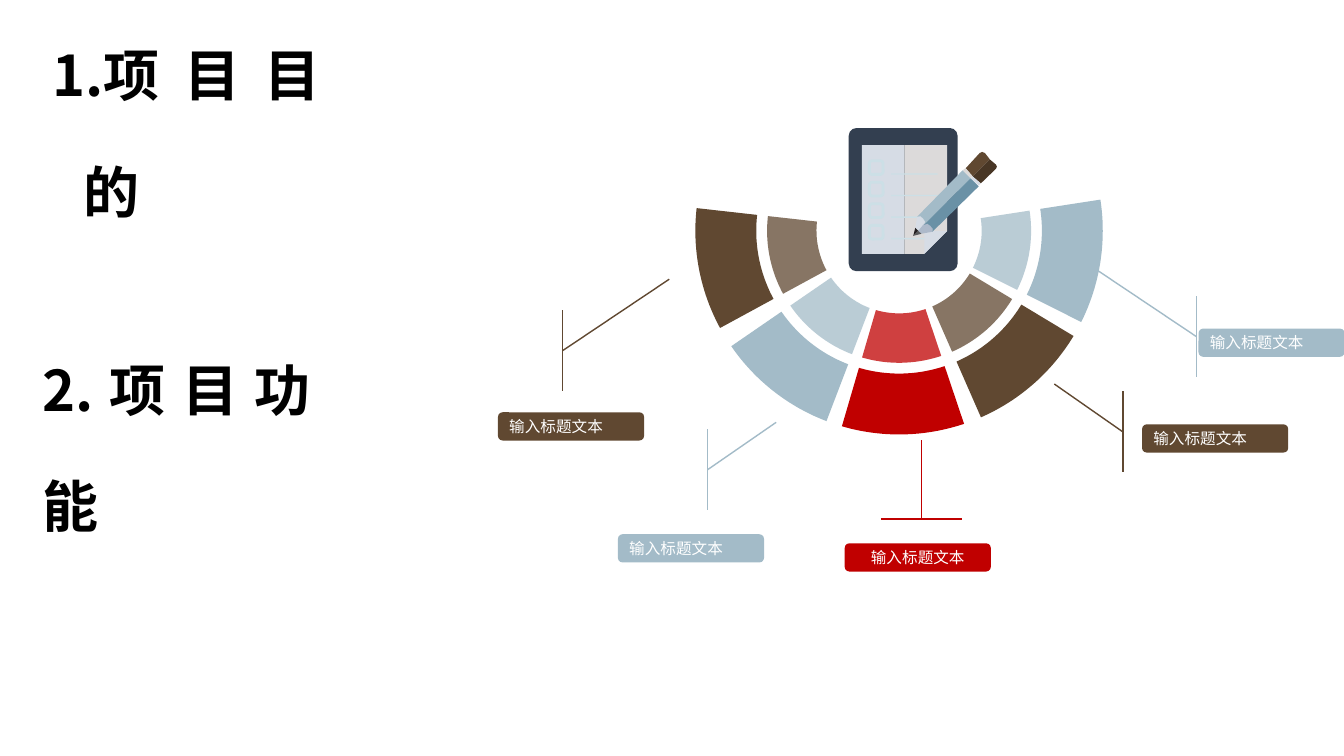
from math import cos, radians, sin

from lxml.etree import SubElement
from pptx import Presentation
from pptx.dml.color import RGBColor as Rgb
from pptx.enum.shapes import MSO_CONNECTOR as Link, MSO_SHAPE as Kind
from pptx.enum.text import MSO_ANCHOR as Anchor, MSO_AUTO_SIZE as Auto, PP_ALIGN as Align
from pptx.oxml.ns import qn
from pptx.util import Pt

HEX = {
    "brown": "604831", "dark": "483625", "blue": "A3BBC8", "deep": "6A91A6",
    "red": "C00000", "slate": "333F50", "page": "D6DCE5", "gray": "DCDADA",
    "pale": "CCDFE6", "shade": "ADB9CA", "ink": "231F20", "lead": "58595B",
    "white": "FFFFFF", "black": "000000",
}
FONT = "Noto Sans CJK SC"
HEAD, TASK = "项目目的", "2.项目功能"

HUB = (642.24, 164.88)
RINGS = [(59, 94.3, 75), (102, 145.5, 100)]
WEDGES = [
    ("blue", -8.8, 26.6), ("brown", 31.1, 66.3), ("red", 71.4, 106.3),
    ("blue", 110.9, 145.5), ("brown", 151.5, 186.4),
]
LABEL = "输入标题文本"
TAGS = [
    ("brown", 355.68, 294.48, Align.LEFT), ("blue", 441.36, 381.6, Align.LEFT),
    ("red", 603.36, 388.08, Align.CENTER), ("brown", 815.76, 303.12, Align.LEFT),
    ("blue", 856.08, 234.72, Align.LEFT),
]
LEADS = [
    ("brown", 401.76, 250.56, 478.08, 199.44), ("blue", 505.44, 335.52, 554.4, 301.68),
    ("red", 658.08, 370.8, 658.08, 314.64), ("brown", 802.08, 308.5, 753.12, 274.32),
    ("blue", 854.64, 240.48, 778.32, 189.36),
]
HALF = 28.9
PAGE = [
    ("gray", [(646, 103.7), (676.6, 103.7), (676.6, 165), (660.2, 181.4), (646, 181.4)]),
    ("page", [(676.6, 165), (660.2, 165), (660.2, 181.4)]),
]
PENCIL = [
    ("page", [(659.5, 155.5), (657.5, 154.2), (655.2, 154.8), (653.8, 162.7),
              (655.9, 164.9), (661, 160.6), (661, 158)]),
    ("shade", [(665.3, 161.3), (663, 159.8), (660.2, 159.8), (655.9, 164.9),
               (658.1, 167), (666, 165.6), (666.4, 163.5)]),
    ("ink", [(653.8, 162.7), (652.3, 168.5), (655.9, 164.9)]),
    ("lead", [(655.9, 164.9), (652.3, 168.5), (658.1, 167)]),
    ("blue", [(687.6, 121.7), (655.2, 154.8), (657.5, 154.5), (659.5, 156.2),
              (661, 158.5), (660.2, 160.6), (693.4, 127.4)]),
    ("deep", [(693.4, 127.4), (660.2, 160.6), (662.5, 159.8), (664.6, 161.3),
              (666.4, 163.5), (666, 165.6), (699.1, 133.2)]),
    ("brown", [(707, 113.8), (703.5, 109.3), (701.5, 108.5), (699.8, 109.3),
               (689.8, 120.2), (694.8, 126)]),
    ("dark", [(700.6, 131), (711.5, 120.5), (712.1, 119), (711.5, 117.6),
              (707, 113.8), (694.8, 126)]),
    ("gray", [(694.8, 126), (689.8, 120.2), (687.6, 121.7), (693.4, 127.4)]),
    ("page", [(693.4, 127.4), (699.1, 132.5), (700.6, 131), (694.8, 126)]),
]

deck = Presentation()
deck.slide_width, deck.slide_height = Pt(960), Pt(540)
slide = deck.slides.add_slide(deck.slide_layouts[5])
shapes = slide.shapes


def tint(name):
    return Rgb.from_string(HEX[name])


def paint(shape, name, alpha=100):
    shape.shadow.inherit = False
    shape.fill.solid()
    shape.fill.fore_color.rgb = tint(name)
    shape.line.fill.background()
    if alpha < 100:
        tone = shape.fill._xPr.find(qn("a:solidFill"))[0]
        SubElement(tone, qn("a:alpha"), val=str(alpha * 1000))


def outline(name, dots, alpha=100):
    ends = [(Pt(x), Pt(y)) for x, y in dots]
    path = shapes.build_freeform(*ends[0])
    path.add_line_segments(ends[1:], close=True)
    paint(path.convert_to_shape(), name, alpha)


def box(kind, name, x, y, w, h, turn=None):
    shape = shapes.add_shape(kind, Pt(x), Pt(y), Pt(w), Pt(h))
    paint(shape, name)
    if turn is not None:
        shape.adjustments[0] = turn
    return shape


def line(name, *ends):
    rule = shapes.add_connector(Link.STRAIGHT, *map(Pt, ends))
    rule.line.color.rgb = tint(name)
    rule.line.width = Pt(1)
    SubElement(rule._element.spPr, qn("a:effectLst"))


def arc(r, start, end, steps=24):
    turns = [radians(start + (end - start) * i / steps) for i in range(steps + 1)]
    return [(HUB[0] + r * cos(t), HUB[1] + r * sin(t)) for t in turns]


def heading(shape, text, x, y, left, hang, count=False):
    shape.left, shape.top, shape.width, shape.height = Pt(x), Pt(y), Pt(242), Pt(190)
    frame = shape.text_frame
    frame.text = text
    frame.word_wrap = True
    frame.auto_size = Auto.NONE
    frame.vertical_anchor = Anchor.TOP
    para = frame.paragraphs[0]
    para.alignment = Align.JUSTIFY
    para.line_spacing = 1.73
    para.space_before = Pt(0)
    props = para._p.get_or_add_pPr()
    props.set("marL", str(Pt(left)))
    props.set("indent", str(Pt(hang)))
    if count:
        SubElement(props, qn("a:buFont"), typeface=FONT)
        SubElement(props, qn("a:buAutoNum"), type="arabicPeriod")
    font = para.runs[0].font
    font.name, font.size, font.bold = FONT, Pt(40), True
    font.color.rgb = tint("black")
    SubElement(font._element, qn("a:ea"), typeface=FONT)


heading(shapes.title, HEAD, -5.76, -9.36, 58.3, -22.3, count=True)
heading(shapes.add_textbox(0, 0, 0, 0), TASK, -12.96, 215.28, 36, 0)

for name, start, end in WEDGES:
    for near, far, alpha in RINGS:
        outline(name, arc(near, start, end) + arc(far, end, start), alpha)

box(Kind.ROUNDED_RECTANGLE, "slate", 606.24, 91.44, 77.76, 102.24, 0.07)
box(Kind.RECTANGLE, "page", 615.6, 103.68, 30.4, 77.7)
outline(*PAGE[0])
for row in range(4):
    drop = 15.4 * row
    tick = box(Kind.ROUNDED_RECTANGLE, "page", 621, 114.8 + drop, 9.8, 9.8, 0.2)
    tick.line.color.rgb = tint("pale")
    tick.line.width = Pt(2)
    box(Kind.RECTANGLE, "pale", 636.5, 123.8 + drop, 33.4, 1)
for name, dots in PAGE[1:] + PENCIL:
    outline(name, dots)

for name, x, y, side in TAGS:
    tag = box(Kind.ROUNDED_RECTANGLE, name, x, y, 104.4, 20.16)
    frame = tag.text_frame
    frame.text = LABEL
    frame.word_wrap = False
    frame.vertical_anchor = Anchor.MIDDLE
    para = frame.paragraphs[0]
    para.alignment = side
    font = para.runs[0].font
    font.name, font.size = "Arial", Pt(11.1)
    font.color.rgb = tint("white")

for name, x, y, far, top in LEADS:
    line(name, x, y, far, top)
    if name == "red":
        line(name, x - HALF, y, x + HALF, y)
    else:
        line(name, x, y - HALF, x, y + HALF)

deck.save("out.pptx")
